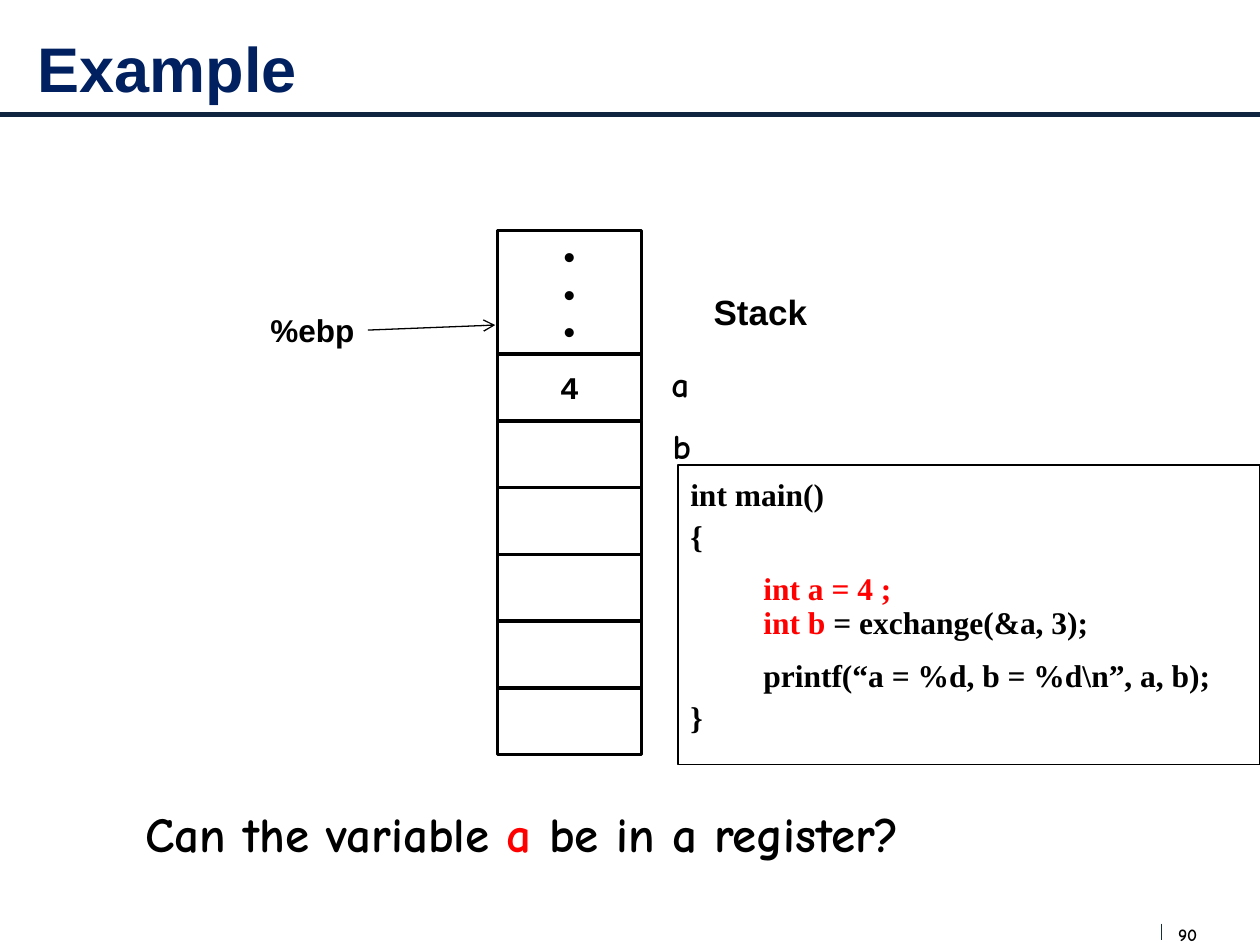
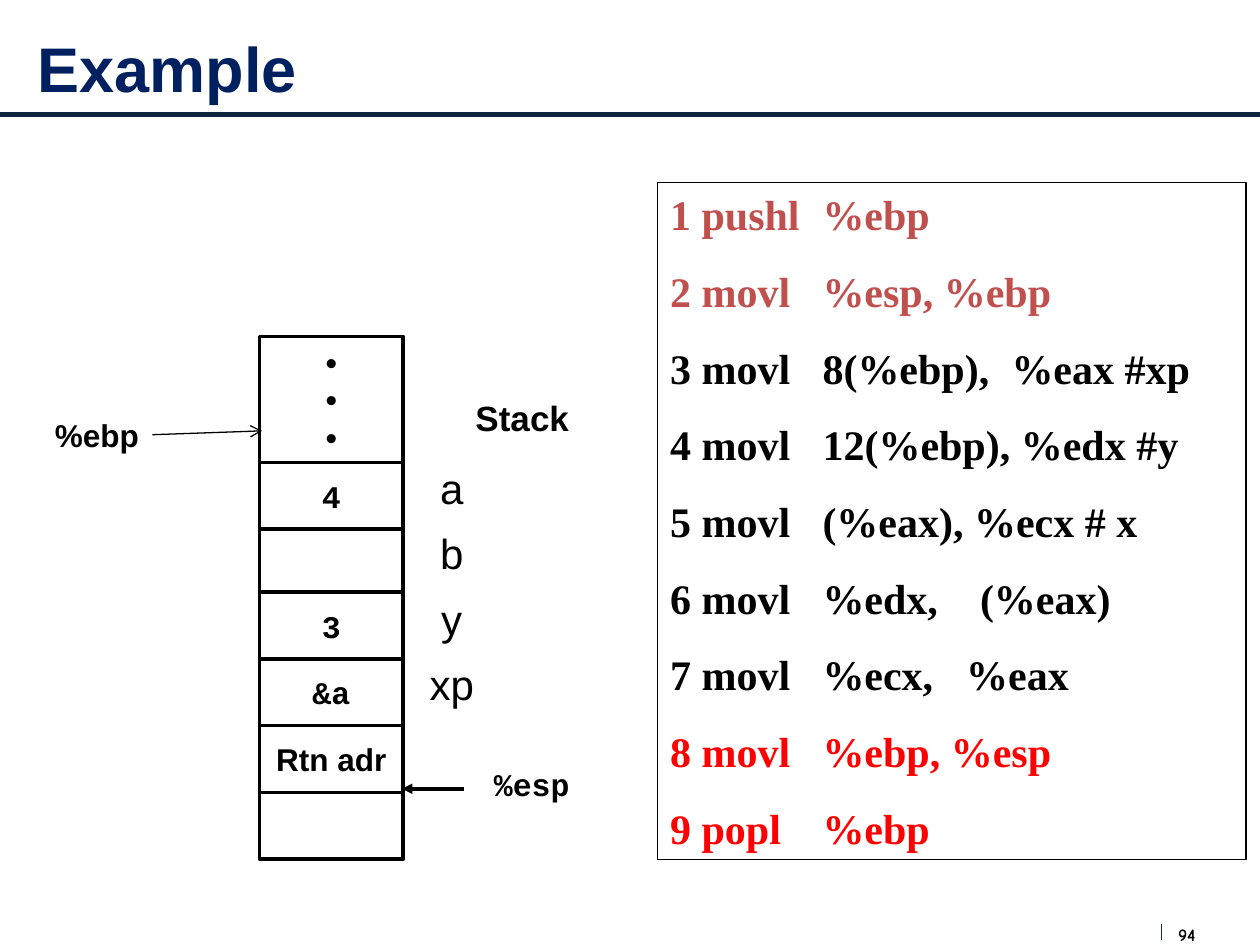
from dataclasses import dataclass

from lxml import etree
from pptx import Presentation, util as u
from pptx.dml.color import RGBColor
from pptx.enum import shapes, text
from pptx.oxml import ns

COLORS = {
    "black": "000000",
    "white": "FFFFFF",
    "title": "002060",
    "rule": "10253F",
    "tick": "172F37",
    "red": "FF0000",
    "brick": "C0504D",
}
SANS, HAND, MONO, SERIF = "Arial", "Comic Neue", "Courier New", "Times New Roman"
CELL_W, CELL_H, DOTS_H = 1.14, 0.53, 1


@dataclass
class Style:
    font: str = SANS
    size: float = 18
    color: str = "black"
    bold: bool = True
    align: text.PP_ALIGN = text.PP_ALIGN.CENTER


@dataclass
class Run:
    words: str
    color: str = "black"


@dataclass
class Box:
    left: float
    top: float
    width: float
    height: float

    def emu(self) -> list[int]:
        return [u.Inches(v) for v in (self.left, self.top, self.width, self.height)]


@dataclass
class Label:
    words: str
    box: Box
    style: Style


@dataclass
class Cell:
    words: str = ""
    font: str = MONO


@dataclass
class Stack:
    left: float
    top: float
    first_top: float
    rest_top: float
    cells: list[Cell]


@dataclass
class Arrow:
    start: tuple[float, float]
    end: tuple[float, float]
    weight: float = 0.75
    head: str = "arrow"


@dataclass
class CodeLine:
    runs: list[Run]
    spacing: float = 1.1
    indent: float = 0


@dataclass
class AsmLine:
    words: str
    color: str = "black"
    second_stop: float = 0


def rgb(name: str) -> RGBColor:
    return RGBColor.from_string(COLORS[name])


def set_font(p, style: Style) -> None:
    p.alignment = style.align
    p.font.name = style.font
    p.font.size = u.Pt(style.size)
    p.font.bold = style.bold
    p.font.color.rgb = rgb(style.color)


def write_runs(p, runs: list[Run], style: Style) -> None:
    set_font(p, style)
    for run in runs:
        r = p.add_run()
        r.text = run.words
        if run.color != style.color:
            r.font.color.rgb = rgb(run.color)


def add_text(s, box: Box, runs: list[Run], style: Style):
    tf = s.shapes.add_textbox(*box.emu()).text_frame
    tf.word_wrap = False
    write_runs(tf.paragraphs[0], runs, style)
    return tf


def add_label(s, label: Label) -> None:
    add_text(s, label.box, [Run(label.words, label.style.color)], label.style)


def add_rect(s, box: Box, weight: float, filled: bool = True):
    sp = s.shapes.add_shape(shapes.MSO_SHAPE.RECTANGLE, *box.emu())
    sp.shadow.inherit = False
    if filled:
        sp.fill.solid()
        sp.fill.fore_color.rgb = rgb("white")
    else:
        sp.fill.background()
    sp.line.color.rgb = rgb("black")
    sp.line.width = u.Pt(weight)
    return sp.text_frame


def add_line(s, start: tuple, end: tuple, color: str, weight: float, head: str = "") -> None:
    points = [u.Inches(v) for v in (*start, *end)]
    line = s.shapes.add_connector(shapes.MSO_CONNECTOR.STRAIGHT, *points)
    line.line.color.rgb = rgb(color)
    line.line.width = u.Pt(weight)
    if head:
        etree.SubElement(line._element.spPr.find(ns.qn("a:ln")), ns.qn("a:tailEnd"), type=head)
    etree.SubElement(line._element.spPr, ns.qn("a:effectLst"))


def add_arrow(s, arrow: Arrow) -> None:
    add_line(s, arrow.start, arrow.end, "black", arrow.weight, arrow.head)


def add_stack_cell(s, box: Box, lines: list[str], font: str) -> None:
    tf = add_rect(s, box, 2)
    tf.word_wrap = False
    tf.vertical_anchor = text.MSO_ANCHOR.MIDDLE
    for i, line in enumerate(lines):
        p = tf.add_paragraph() if i else tf.paragraphs[0]
        p.text = line
        set_font(p, Style(font))


def add_stack(s, stack: Stack) -> None:
    first, *rest = stack.cells
    for i, cell in enumerate(rest):
        box = Box(stack.left, stack.rest_top + i * CELL_H, CELL_W, CELL_H)
        add_stack_cell(s, box, [cell.words], cell.font)
    add_stack_cell(s, Box(stack.left, stack.top, CELL_W, DOTS_H), ["•"] * 3, SANS)
    add_stack_cell(s, Box(stack.left, stack.first_top, CELL_W, CELL_H), [first.words], first.font)
    add_label(s, Label("Stack", Box(stack.left + 1.61, stack.top + 0.43, 0.95, 0.44), Style(size=20)))


def add_code(s, box: Box, lines: list[CodeLine]) -> None:
    tf = add_rect(s, box, 0.75, filled=False)
    tf.word_wrap = True
    tf.vertical_anchor = text.MSO_ANCHOR.TOP
    for i, line in enumerate(lines):
        p = tf.add_paragraph() if i else tf.paragraphs[0]
        p.line_spacing = line.spacing
        p._p.get_or_add_pPr().set("marL", str(u.Inches(line.indent)))
        write_runs(p, line.runs, Style(SERIF, align=text.PP_ALIGN.LEFT))


def add_assembly(s, box: Box, lines: list[AsmLine]) -> None:
    tf = add_rect(s, box, 0.75, filled=False)
    tf.word_wrap = True
    tf.vertical_anchor = text.MSO_ANCHOR.TOP
    for i, line in enumerate(lines):
        p = tf.add_paragraph() if i else tf.paragraphs[0]
        if i:
            p.space_before = u.Pt(15)
        tabs = etree.SubElement(p._p.get_or_add_pPr(), ns.qn("a:tabLst"))
        for stop in filter(None, (1.21, line.second_stop)):
            etree.SubElement(tabs, ns.qn("a:tab"), pos=str(u.Inches(stop)), algn="l")
        style = Style(SERIF, 24, line.color, align=text.PP_ALIGN.LEFT)
        write_runs(p, [Run(line.words, line.color)], style)


def add_variable_names(s, box: Box, names: list[str]) -> None:
    table = s.shapes.add_table(len(names), 1, *box.emu()).table
    table.first_row = False
    table.horz_banding = False
    for row, name in enumerate(names):
        cell = table.cell(row, 0)
        cell.fill.solid()
        cell.fill.fore_color.rgb = rgb("white")
        p = cell.text_frame.paragraphs[0]
        p.text = name
        set_font(p, Style(size=24, bold=False))


def new_slide(prs, number: int):
    s = prs.slides.add_slide(prs.slide_layouts[6])
    add_line(s, (0, 0.91), (10, 0.91), "rule", 3)
    left = text.PP_ALIGN.LEFT
    tf = add_text(s, Box(9.35, 7.33, 0.34, 0.17), [Run(str(number))], Style(HAND, 10, align=left))
    tf.margin_left = tf.margin_right = tf.margin_top = tf.margin_bottom = 0
    add_line(s, (9.22, 7.33), (9.22, 7.46), "tick", 0.75)
    title = Style(SANS, 36, "title", align=left)
    tf = add_text(s, Box(0.2, 0, 9.53, 1.07), [Run("Example", "title")], title)
    tf.word_wrap = True
    tf.vertical_anchor = text.MSO_ANCHOR.MIDDLE
    return s


def build_register_question(prs) -> None:
    s = new_slide(prs, 90)
    add_stack(s, Stack(3.95, 1.83, 2.81, 3.34, [Cell("4")] + [Cell()] * 5))
    for label in (
        Label("%ebp", Box(2.03, 2.42, 0.9, 0.4), Style()),
        Label("a", Box(5.23, 2.83, 0.34, 0.44), Style(HAND, 20)),
        Label("b", Box(5.24, 3.32, 0.34, 0.44), Style(HAND, 20)),
    ):
        add_label(s, label)
    add_arrow(s, Arrow((2.92, 2.62), (3.93, 2.58)))
    question = [Run("Can the variable "), Run("a", "red"), Run(" be in a register?")]
    add_text(s, Box(1.04, 6.33, 6.21, 0.57), question, Style(HAND, 28))
    add_code(s, Box(5.38, 3.69, 4.62, 2.38), [
        CodeLine([Run("int main()")]),
        CodeLine([Run("{")]),
        CodeLine([Run("int a = 4 ;", "red")], 1.4, 0.58),
        CodeLine([Run("int b ", "red"), Run("= exchange(&a, 3);")], 0.9, 0.58),
        CodeLine([Run("printf(“a = %d, b = %d\\n”, a, b);")], 1.4, 0.58),
        CodeLine([Run("}")]),
    ])


def build_exchange_body(prs) -> None:
    s = new_slide(prs, 94)
    cells = [Cell("4"), Cell(), Cell("3"), Cell("&a"), Cell("Rtn adr", SANS), Cell()]
    add_stack(s, Stack(2.06, 2.67, 3.67, 4.17, cells))
    add_arrow(s, Arrow((3.68, 6.26), (3.19, 6.26), 2, "triangle"))
    add_label(s, Label("%esp", Box(3.81, 6.02, 0.82, 0.4), Style(MONO)))
    add_variable_names(s, Box(3.25, 3.65, 0.67, 2.08), ["a", "b", "y", "xp"])
    add_label(s, Label("%ebp", Box(0.32, 3.25, 0.9, 0.4), Style()))
    add_arrow(s, Arrow((1.21, 3.45), (2.08, 3.42)))
    add_assembly(s, Box(5.22, 1.45, 4.67, 5.37), [
        AsmLine("1 pushl\t%ebp", "brick"),
        AsmLine("2 movl\t%esp, %ebp", "brick"),
        AsmLine("3 movl\t8(%ebp),\t%eax #xp", second_stop=2.71),
        AsmLine("4 movl\t12(%ebp), %edx #y"),
        AsmLine("5 movl\t(%eax), %ecx # x"),
        AsmLine("6 movl\t%edx,\t(%eax)", second_stop=2.46),
        AsmLine("7 movl\t%ecx,\t%eax", second_stop=2.35),
        AsmLine("8 movl\t%ebp, %esp", "red"),
        AsmLine("9 popl\t%ebp", "red"),
    ])


def main() -> None:
    prs = Presentation()
    prs.slide_width, prs.slide_height = u.Inches(10), u.Inches(7.5)
    build_register_question(prs)
    build_exchange_body(prs)
    prs.save("out.pptx")


if __name__ == "__main__":
    main()
